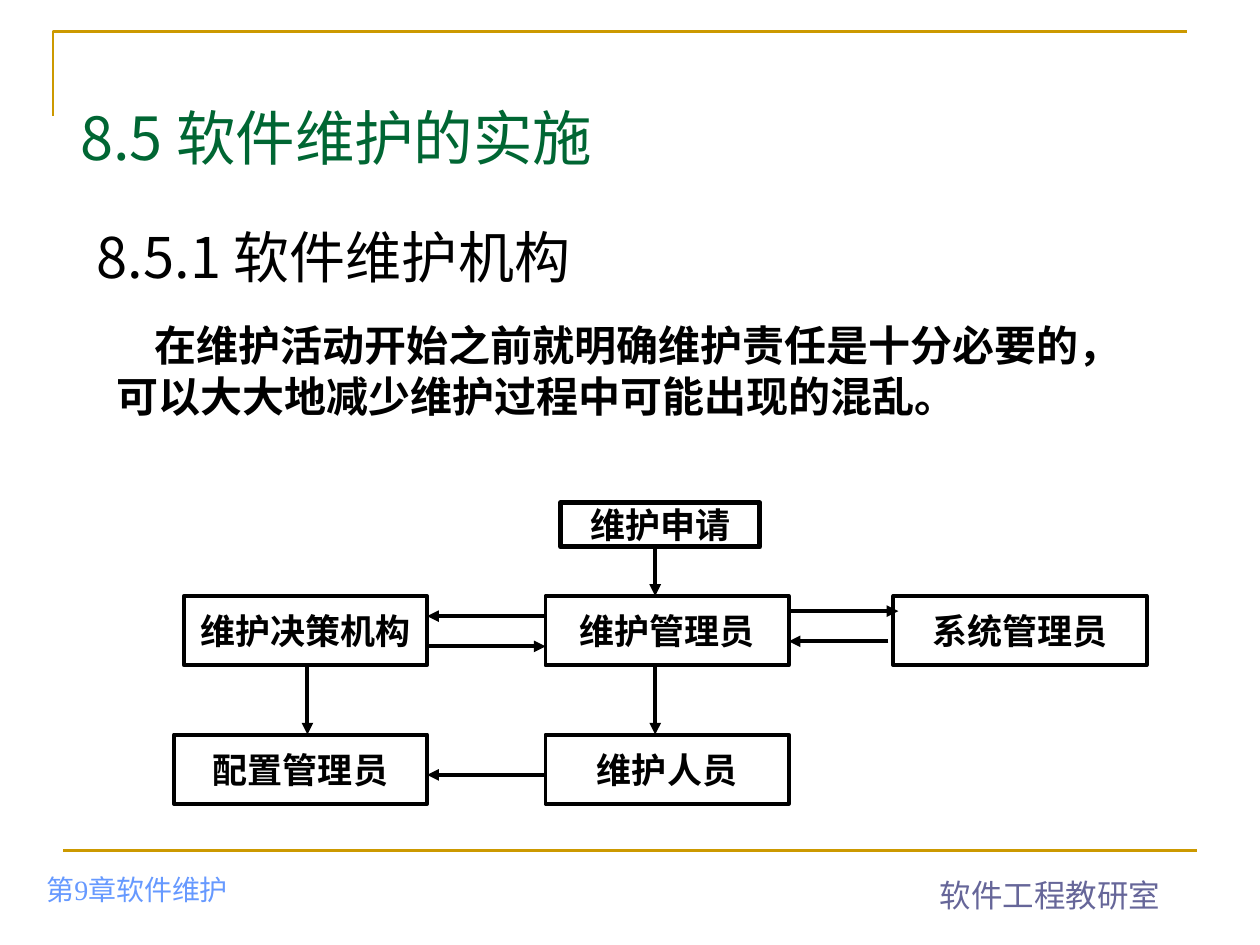
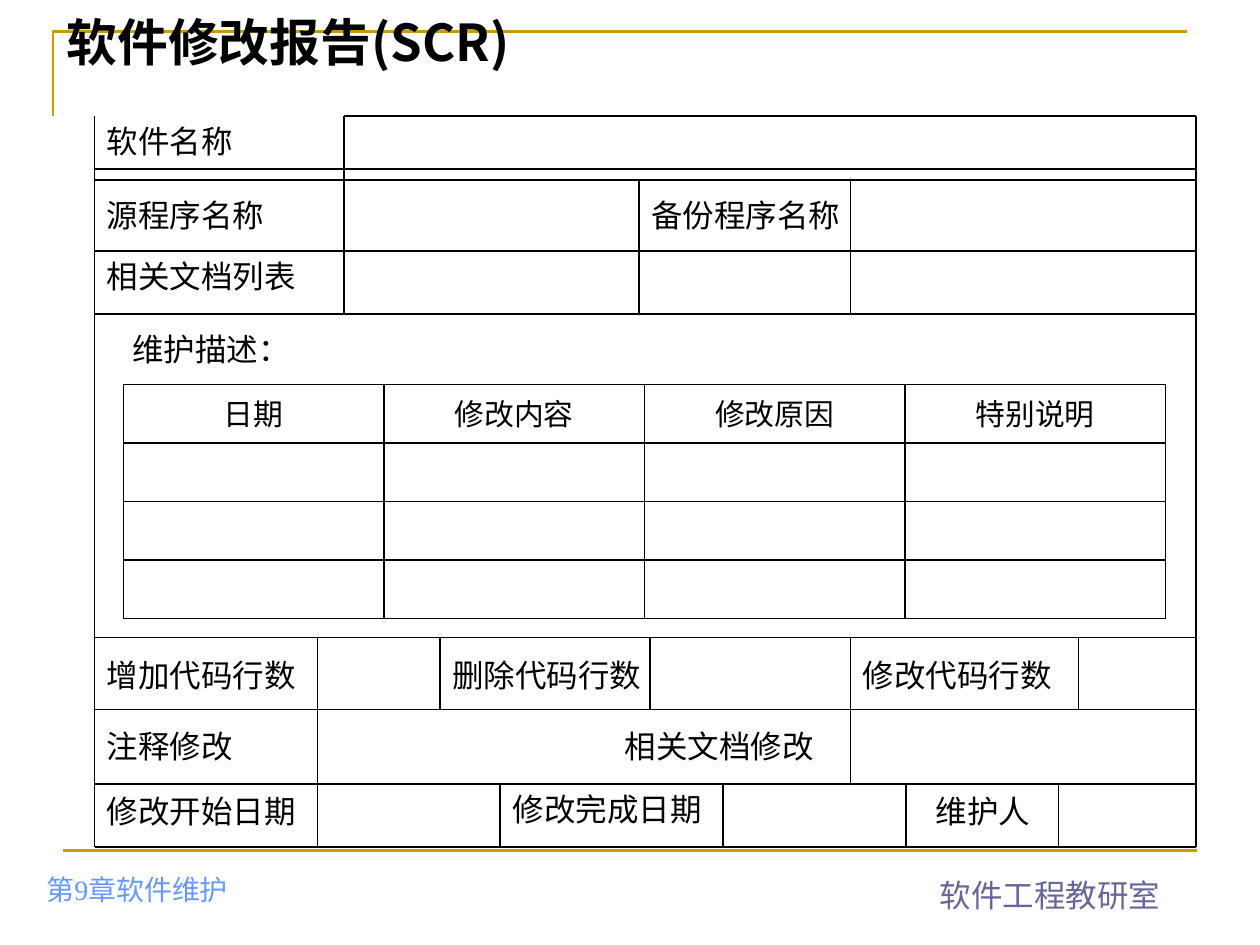
from dataclasses import dataclass

from pptx import Presentation
from pptx.dml.color import RGBColor
from pptx.enum.shapes import MSO_CONNECTOR, MSO_SHAPE
from pptx.enum.text import MSO_ANCHOR, PP_ALIGN
from pptx.oxml import parse_xml
from pptx.oxml.ns import nsdecls
from pptx.util import Inches, Pt


@dataclass(frozen=True)
class Theme:
    ink: str = "000000"
    gold: str = "CC9900"
    green: str = "006633"
    sky: str = "6699FF"
    slate: str = "666699"
    sans: str = "Noto Sans CJK SC"
    serif: str = "Times New Roman"
    latin: str = "Arial"
    title: float = 34
    subtitle: float = 32
    form_title: float = 29
    body: float = 24
    node: float = 20
    label: float = 18
    column: float = 17
    chapter: float = 16
    frame_line: float = 1.5
    node_line: float = 2.25
    request_line: float = 3
    form_line: float = 1


THEME = Theme()


def write(text_frame, text, size=THEME.label, color=THEME.ink, font=THEME.sans,
          bold=False, align=PP_ALIGN.LEFT, indent=0):
    para = text_frame.paragraphs[0]
    para.alignment = align
    if indent:
        properties = para._p.get_or_add_pPr()
        properties.set("marL", "0")
        properties.set("indent", str(Inches(indent)))
    span = para.add_run()
    span.text = text
    span.font.size = Pt(size)
    span.font.bold = bold
    span.font.color.rgb = RGBColor.from_string(color)
    span.font.name = font
    span._r.get_or_add_rPr().append(
        parse_xml(f'<a:ea {nsdecls("a")} typeface="{THEME.sans}"/>'))


class PageBuilder:
    def __init__(self, deck, theme):
        self.deck = deck
        self.theme = theme
        self.page = None

    def new_page(self):
        theme = self.theme
        self.page = self.deck.slides.add_slide(self.deck.slide_layouts[6])
        self.corner([(0.42, 0.92), (0.42, 0.25), (9.42, 0.25)])
        self.line((0.5, 6.75), (9.5, 6.75), theme.frame_line, theme.gold)
        self.text(0.27, 6.74, 3.15, 0.5, "第9章软件维护", anchor=MSO_ANCHOR.BOTTOM,
                  size=theme.chapter, color=theme.sky, font=theme.serif)
        self.text(7.36, 6.9, 1.95, 0.4, "软件工程教研室", wrap=False,
                  color=theme.slate, font=theme.latin)

    def corner(self, points):
        start, *others = [(Inches(x), Inches(y)) for x, y in points]
        builder = self.page.shapes.build_freeform(*start)
        builder.add_line_segments(others, close=False)
        self.outline(builder.convert_to_shape(), self.theme.frame_line, self.theme.gold)

    def outline(self, shape, width, color):
        shape.shadow.inherit = False
        shape.fill.background()
        shape.line.width = Pt(width)
        shape.line.color.rgb = RGBColor.from_string(color)

    def text(self, left, top, width, height, text, anchor=MSO_ANCHOR.TOP,
             wrap=True, **style):
        box = self.page.shapes.add_textbox(
            Inches(left), Inches(top), Inches(width), Inches(height))
        box.text_frame.word_wrap = wrap
        box.text_frame.vertical_anchor = anchor
        write(box.text_frame, text, **style)

    def line(self, start, end, width, color=THEME.ink, arrow=False):
        connector = self.page.shapes.add_connector(
            MSO_CONNECTOR.STRAIGHT, *(Inches(value) for value in (*start, *end)))
        connector.line.width = Pt(width)
        connector.line.color.rgb = RGBColor.from_string(color)
        if arrow:
            connector.line._get_or_add_ln().append(
                parse_xml(f'<a:tailEnd {nsdecls("a")} type="triangle"/>'))
        connector._element.spPr.append(parse_xml(f'<a:effectLst {nsdecls("a")}/>'))

    def arrow(self, start, end):
        self.line(start, end, self.theme.node_line, arrow=True)

    def node(self, left, top, width, text, height=0.55, line_width=THEME.node_line):
        box = self.page.shapes.add_shape(
            MSO_SHAPE.RECTANGLE, Inches(left), Inches(top), Inches(width), Inches(height))
        self.outline(box, line_width, self.theme.ink)
        frame = box.text_frame
        frame.margin_left = frame.margin_right = 0
        frame.margin_top = frame.margin_bottom = 0
        frame.word_wrap = False
        frame.vertical_anchor = MSO_ANCHOR.MIDDLE
        write(frame, text, size=self.theme.node, bold=True, align=PP_ALIGN.CENTER)

    def table(self, left, top, width, height, headers, row_count):
        table = self.page.shapes.add_table(
            row_count, len(headers), Inches(left), Inches(top),
            Inches(width), Inches(height)).table
        table.first_row = False
        table.horz_banding = False
        for cell in table.iter_cells():
            cell.fill.background()
            self.cell_borders(cell)
        for column, header in enumerate(headers):
            write(table.cell(0, column).text_frame, header,
                  size=self.theme.column, align=PP_ALIGN.CENTER)

    def cell_borders(self, cell):
        properties = cell._tc.get_or_add_tcPr()
        for position, side in enumerate(("lnL", "lnR", "lnT", "lnB")):
            properties.insert(position, parse_xml(
                f'<a:{side} {nsdecls("a")} w="{Pt(self.theme.form_line)}"><a:solidFill>'
                f'<a:srgbClr val="{self.theme.ink}"/></a:solidFill></a:{side}>'))


def build_organisation(builder):
    theme = builder.theme
    builder.new_page()
    builder.text(0.54, 0.68, 8.91, 0.81, "8.5 软件维护的实施",
                 anchor=MSO_ANCHOR.MIDDLE, size=theme.title, color=theme.green)
    builder.text(0.67, 1.72, 8.58, 0.67, "8.5.1 软件维护机构", size=theme.subtitle)
    builder.text(0.83, 2.49, 8.33, 0.9,
                 "在维护活动开始之前就明确维护责任是十分必要的，"
                 "可以大大地减少维护过程中可能出现的混乱。",
                 size=theme.body, bold=True, indent=0.3)

    upper, lower, node_height = 4.73, 5.83, 0.55
    upper_bottom = upper + node_height
    left_edge, middle_left, middle_right = 3.39, 4.33, 6.26
    middle_width = middle_right - middle_left
    middle_axis, left_axis = 5.2, 2.44

    builder.node(4.45, 3.99, 1.58, "维护申请", 0.35, theme.request_line)
    builder.node(1.46, upper, middle_width, "维护决策机构")
    builder.node(middle_left, upper, middle_width, "维护管理员")
    builder.node(7.09, upper, 2.01, "系统管理员")
    builder.node(1.38, lower, 2.01, "配置管理员")
    builder.node(middle_left, lower, middle_width, "维护人员")

    for start, end in (
        ((middle_axis, 4.34), (middle_axis, upper)),
        ((middle_axis, upper_bottom), (middle_axis, lower)),
        ((left_axis, upper_bottom), (left_axis, lower)),
        ((middle_left, 4.89), (left_edge, 4.89)),
        ((left_edge, 5.13), (middle_left, 5.13)),
        ((middle_right, 4.85), (7.13, 4.85)),
        ((7.05, 5.09), (middle_right, 5.09)),
        ((middle_left, 6.15), (left_edge, 6.15)),
    ):
        builder.arrow(start, end)


def build_change_report(builder):
    theme = builder.theme
    builder.new_page()
    builder.text(0.43, 0, 6.54, 0.66, "软件修改报告(SCR)", anchor=MSO_ANCHOR.MIDDLE,
                 size=theme.form_title, bold=True)

    left, right, top, bottom = 0.75, 9.49, 0.92, 6.72
    name_right, backup_left, backup_right = 2.73, 5.07, 6.75
    count_right = 2.52
    names, documents, description = 1.43, 1.99, 2.49
    counts, comments, dates = 5.06, 5.63, 6.22

    builder.line((name_right, top), (right, top), theme.form_line)
    for y in (1.34, names, documents, description, counts, comments, dates, bottom):
        builder.line((left, y), (right, y), theme.form_line)
    for start, end, columns in (
        (top, bottom, (left, right)),
        (top, description, (name_right,)),
        (names, description, (backup_left, backup_right)),
        (counts, bottom, (count_right,)),
        (counts, dates, (backup_right,)),
        (counts, comments, (3.49, 5.16, 8.56)),
        (dates, bottom, (3.97, 5.74, 7.19, 8.4)),
    ):
        for x in columns:
            builder.line((x, start), (x, end), theme.form_line)

    for x, y, width, label in (
        (left, top, 1.98, "软件名称"),
        (left, 1.51, 1.98, "源程序名称"),
        (backup_left, 1.51, 1.8, "备份程序名称"),
        (left, documents, 1.98, "相关文档列表"),
        (0.95, 2.57, 1.45, "维护描述："),
        (left, 5.16, 1.77, "增加代码行数"),
        (3.49, 5.16, 1.83, "删除代码行数"),
        (backup_right, 5.16, 1.81, "修改代码行数"),
        (left, 5.72, 1.77, "注释修改"),
        (4.86, 5.72, 1.89, "相关文档修改"),
        (left, 6.24, 1.77, "修改开始日期"),
        (3.97, dates, 1.85, "修改完成日期"),
        (7.33, 6.24, 1.07, "维护人"),
    ):
        builder.text(x, y, width, 0.4, label, wrap=label != "维护描述：")

    builder.table(0.98, 3.05, 8.27, 1.86,
                  ("日期", "修改内容", "修改原因", "特别说明"), row_count=4)


def main():
    deck = Presentation()
    deck.slide_width = Inches(10)
    deck.slide_height = Inches(7.5)
    builder = PageBuilder(deck, THEME)
    build_organisation(builder)
    build_change_report(builder)
    deck.save("out.pptx")


if __name__ == "__main__":
    main()
